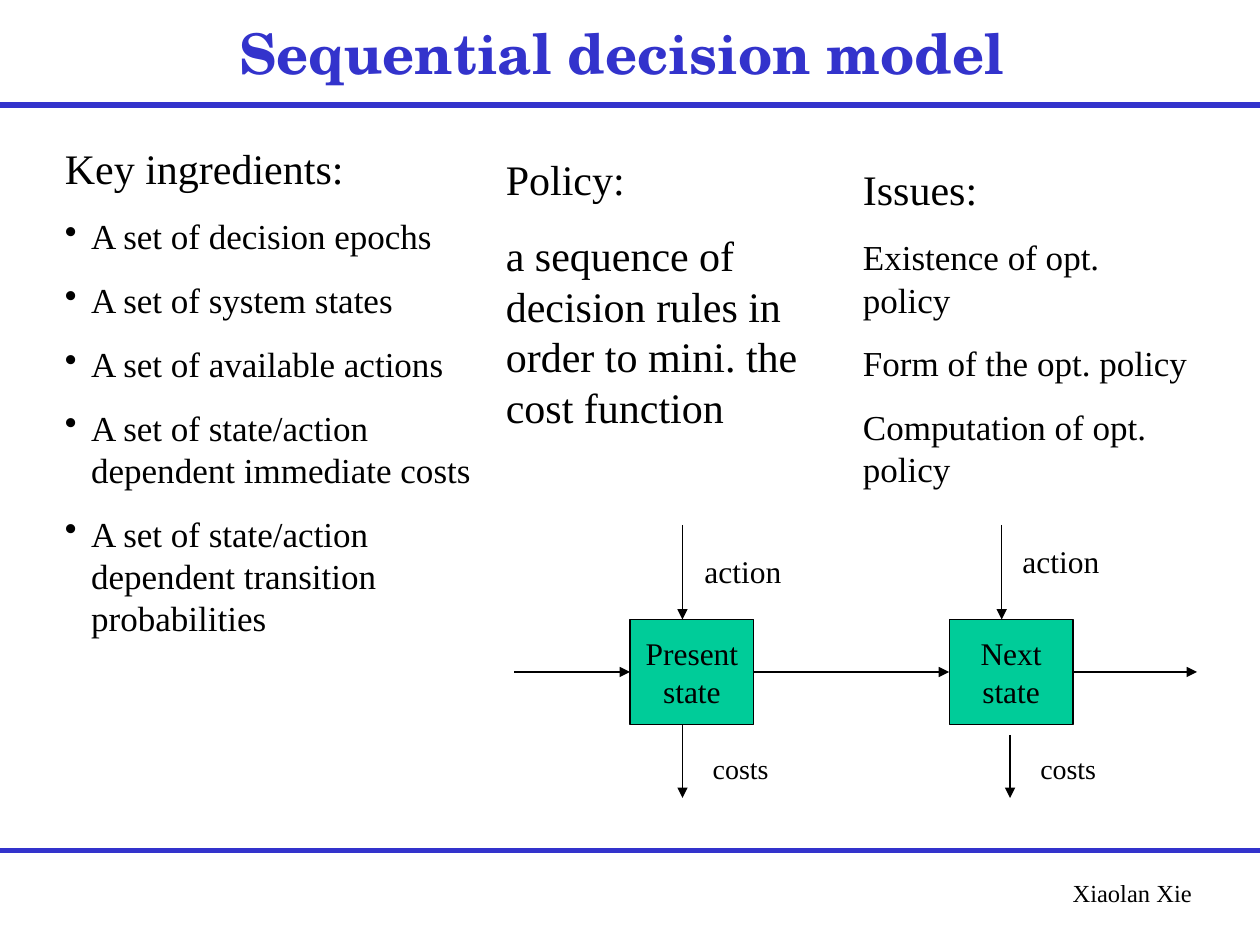
from lxml import etree
from pptx import Presentation
from pptx.dml.color import RGBColor
from pptx.enum.shapes import MSO_CONNECTOR, MSO_SHAPE
from pptx.enum.text import MSO_ANCHOR, MSO_AUTO_SIZE, PP_ALIGN
from pptx.oxml.ns import qn
from pptx.util import Pt

PX = 7620
WIDE, HIGH = 1200, 900
BLUE = RGBColor(0x33, 0x33, 0xCC)
GREEN = RGBColor(0x00, 0xCC, 0x99)
BLACK = RGBColor(0x00, 0x00, 0x00)
SERIF = "Times New Roman"
SCHOOL = "TeX Gyre Schola"
LEFT, CENTER, RIGHT = PP_ALIGN.LEFT, PP_ALIGN.CENTER, PP_ALIGN.RIGHT
MIDDLE = MSO_ANCHOR.MIDDLE
FIXED, GROW = MSO_AUTO_SIZE.NONE, MSO_AUTO_SIZE.SHAPE_TO_FIT_TEXT
STRAIGHT = MSO_CONNECTOR.STRAIGHT
RECT = MSO_SHAPE.RECTANGLE


def emu(*sizes):
    return [size * PX for size in sizes]


def write(para, text, size=18, font=SERIF, color=BLACK, bold=False,
          align=LEFT, before=0, bullet=False):
    if bullet:
        props = para._p.get_or_add_pPr()
        props.set("marL", str(25 * PX))
        props.set("indent", str(-25 * PX))
        etree.SubElement(props, qn("a:buChar")).set("char", "•")
    para.alignment = align
    para.space_before = Pt(before)
    run = para.add_run()
    run.text = text
    run.font.size = Pt(size)
    run.font.name = font
    run.font.bold = bold
    run.font.color.rgb = color


def label(slide, box, text, **form):
    frame = slide.shapes.add_textbox(*emu(*box)).text_frame
    frame.word_wrap = True
    frame.auto_size = GROW
    write(frame.paragraphs[0], text, **form)
    return frame


def line(slide, start, end, color=BLACK, width=0.75, arrow=True):
    link = slide.shapes.add_connector(STRAIGHT, *emu(*start, *end))
    link.line.color.rgb = color
    link.line.width = Pt(width)
    if arrow:
        tail = etree.SubElement(link.line._get_or_add_ln(), qn("a:tailEnd"))
        tail.set("type", "triangle")
    etree.SubElement(link._element.spPr, qn("a:effectLst"))


def header(slide, box, text):
    title = slide.shapes.title
    title.left, title.top, title.width, title.height = emu(*box)
    frame = title.text_frame
    frame.auto_size = FIXED
    frame.vertical_anchor = MIDDLE
    write(frame.paragraphs[0], text, size=32, font=SCHOOL, color=BLUE,
          bold=True, align=CENTER)


def column(slide, box, head, items, size=20, bullet=False):
    frame = label(slide, box, head, size=24)
    for item in items:
        write(frame.add_paragraph(), item, size=size, before=size * 0.625,
              bullet=bullet)


def state(slide, box, words):
    shape = slide.shapes.add_shape(RECT, *emu(*box))
    shape.shadow.inherit = False
    shape.fill.solid()
    shape.fill.fore_color.rgb = GREEN
    shape.line.color.rgb = BLACK
    shape.line.width = Pt(0.75)
    frame = shape.text_frame
    frame.word_wrap = False
    frame.vertical_anchor = MIDDLE
    write(frame.paragraphs[0], words[0], align=CENTER)
    write(frame.add_paragraph(), words[1], align=CENTER)


def diagram(slide, box):
    left, top, wide, high = box
    side, tall, roof = 118, 100, 90
    floor, mid = roof + tall, roof + tall // 2
    steps = [
        ("Present", 110, (160, 160), floor, (169, 20), 177),
        ("Next", 414, (464, 472), floor + 10, (472, 10), 489),
    ]
    begin = 0
    for name, x, (act, cost), exit, (note, drop), fee in steps:
        state(slide, (left + x, top + roof, side, tall), (name, "state"))
        line(slide, (left + begin, top + mid), (left + x, top + mid))
        line(slide, (left + act, top), (left + act, top + roof))
        line(slide, (left + cost, top + exit), (left + cost, top + high))
        label(slide, (left + note, top + drop, 102, 48), "action")
        label(slide, (left + fee, top + 210, 101, 44), "costs", size=16)
        begin = x + side
    line(slide, (left + begin, top + mid), (left + wide, top + mid))


def main():
    deck = Presentation()
    deck.slide_width, deck.slide_height = emu(WIDE, HIGH)
    slide = deck.slides.add_slide(deck.slide_layouts[5])
    for y in (810, 100):
        line(slide, (0, y), (WIDE, y), color=BLUE, width=3, arrow=False)
    label(slide, (877, 830, 270, 41), "Xiaolan Xie", size=14, align=RIGHT)
    header(slide, (90, 10, 1020, 80), "Sequential decision model ")
    diagram(slide, (490, 500, 650, 260))
    column(slide, (50, 130, 440, 485), "Key ingredients:", [
        "A set of decision epochs",
        "A set of system states",
        "A set of available actions",
        "A set of state/action dependent immediate costs",
        "A set of state/action dependent transition probabilities",
    ], bullet=True)
    column(slide, (470, 140, 370, 277), "Policy:", [
        "a sequence of decision rules in order to mini. the cost function",
    ], size=24)
    column(slide, (810, 150, 340, 323), "Issues:", [
        "Existence of opt. policy",
        "Form of the opt. policy",
        "Computation of opt. policy",
    ])
    deck.save("out.pptx")


if __name__ == "__main__":
    main()
